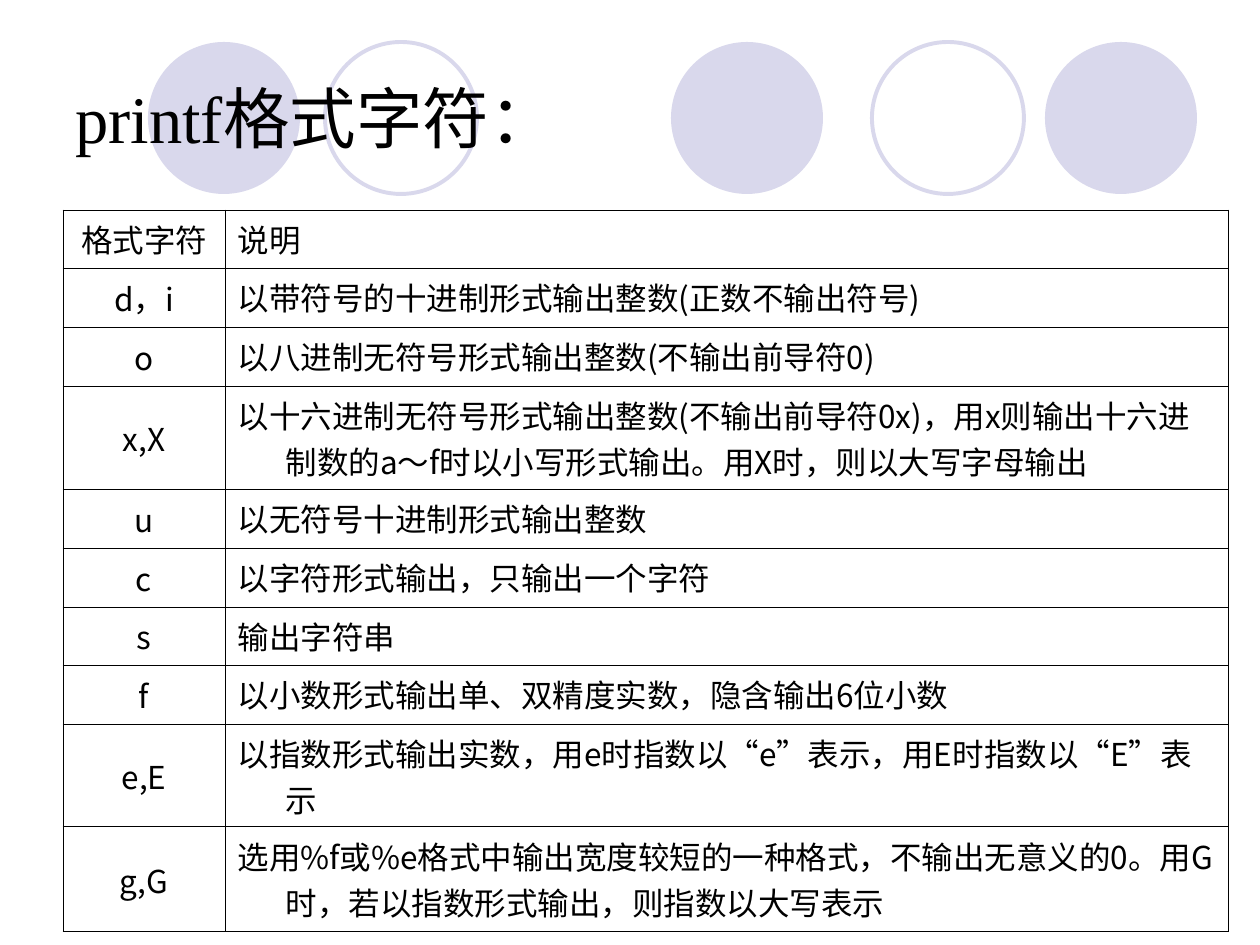
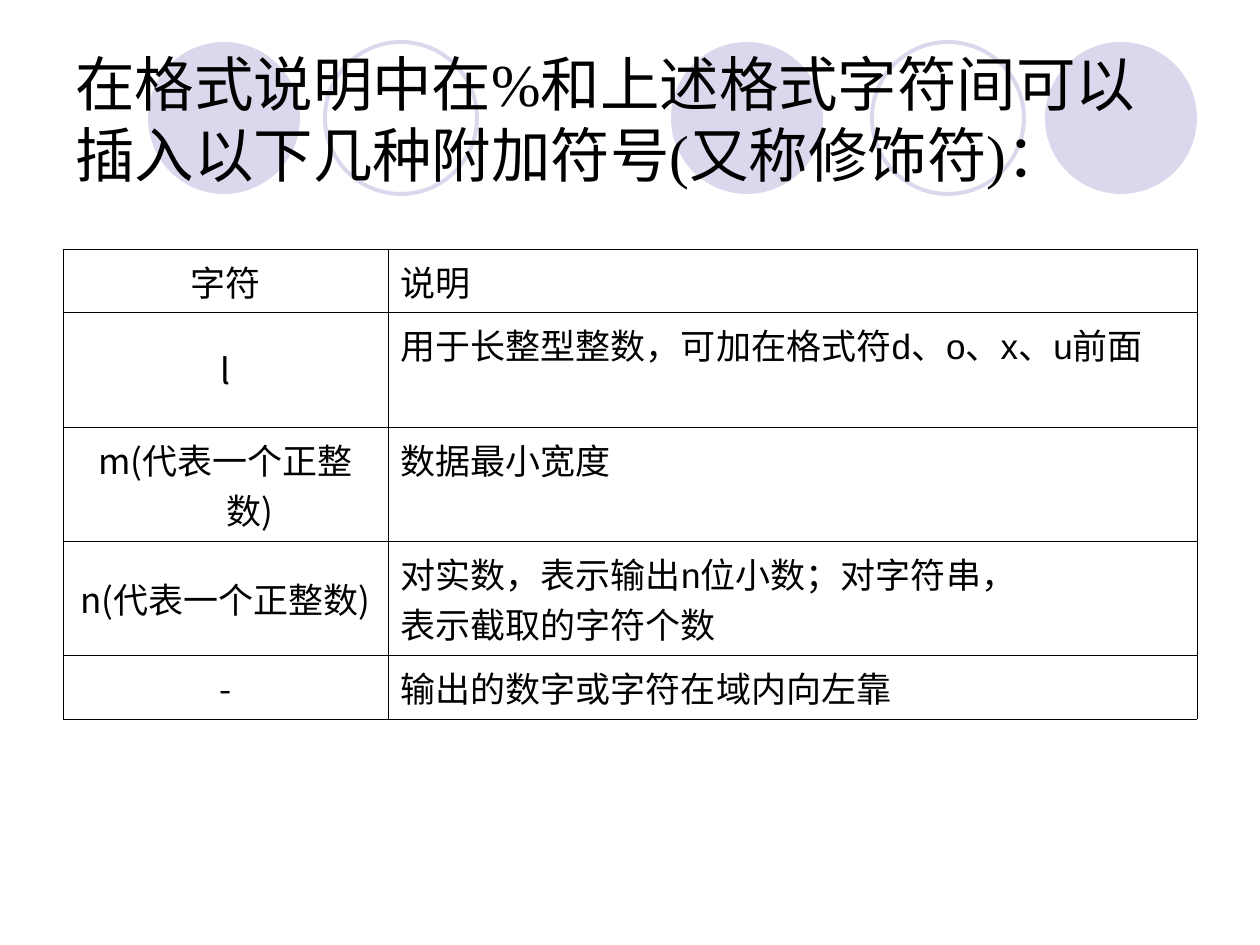
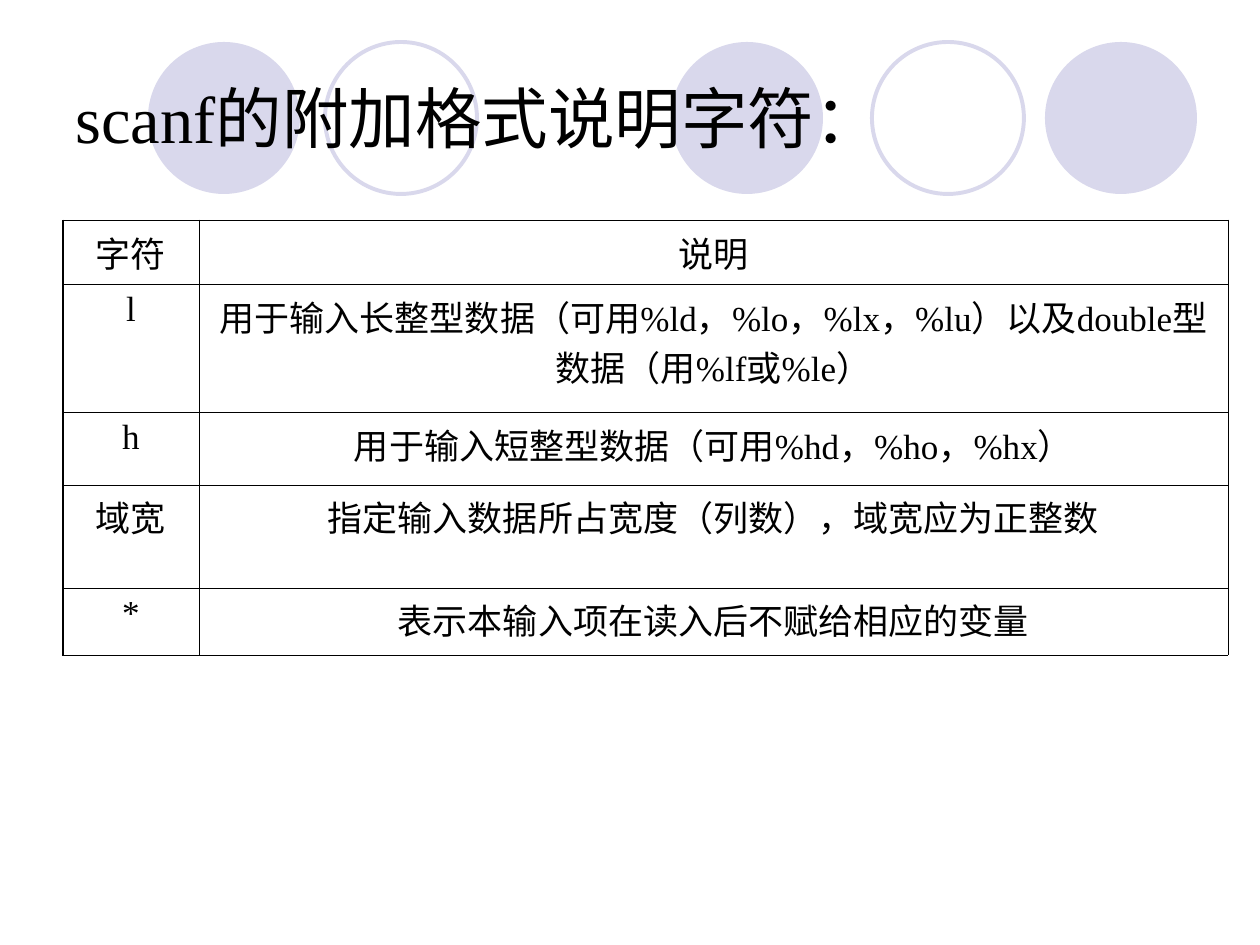
from lxml import etree
from pptx import Presentation
from pptx.dml.color import RGBColor
from pptx.enum.shapes import MSO_SHAPE
from pptx.enum.text import MSO_ANCHOR, PP_ALIGN
from pptx.oxml.ns import qn
from pptx.util import Pt

ELLIPSE = MSO_SHAPE.OVAL
LEFT, CENTER = PP_ALIGN.LEFT, PP_ALIGN.CENTER
TOP, MIDDLE = MSO_ANCHOR.TOP, MSO_ANCHOR.MIDDLE

BLACK = RGBColor(0x00, 0x00, 0x00)
LAVENDER = RGBColor(0xD9, 0xD8, 0xEC)
SERIF, SANS, CHINESE = "Times New Roman", "Arial", "Noto Sans CJK SC"

EMU_PER_PX = 914400 / 126
SLIDE_SIZE = (1260, 945)
TABLE_LEFT = 63
TITLE_LEFT, TITLE_TOP, TITLE_WIDTH = 63, 38, 1134
CIRCLE_TOP, CIRCLE_SIZE = 42, 152
CIRCLES = [(671, True), (1045, True), (148, True), (872, False), (325, False)]
HANGING_INDENT = 48
THIN, THICK = 0.45, 1.08

SYMBOL_COLUMN = {"font": CHINESE, "align": CENTER, "anchor": MIDDLE, "indent": HANGING_INDENT}
MEANING_COLUMN = {"font": CHINESE, "align": LEFT, "anchor": TOP, "indent": HANGING_INDENT}
CENTERED_COLUMN = {"font": SERIF, "align": CENTER, "anchor": TOP, "indent": 0}

SLIDES = [
    {
        "title": "printf格式字符：",
        "title_size": 38,
        "title_height": 158,
        "top": 210,
        "widths": [162, 1003],
        "heights": [58, 59, 59, 103, 59, 59, 58, 59, 103, 105],
        "size": 18,
        "left_border": THIN,
        "columns": [SYMBOL_COLUMN, MEANING_COLUMN],
        "rows": [
            ("格式字符", "说明"),
            ("d，i", "以带符号的十进制形式输出整数(正数不输出符号)"),
            ("o", "以八进制无符号形式输出整数(不输出前导符0)"),
            ("x,X", "以十六进制无符号形式输出整数(不输出前导符0x)，用x则输出十六进制数的a～f时以小写形式输出。用X时，则以大写字母输出"),
            ("u", "以无符号十进制形式输出整数"),
            ("c", "以字符形式输出，只输出一个字符"),
            ("s", "输出字符串"),
            ("f", "以小数形式输出单、双精度实数，隐含输出6位小数"),
            ("e,E", "以指数形式输出实数，用e时指数以“e”表示，用E时指数以“E”表示"),
            ("g,G", "选用%f或%e格式中输出宽度较短的一种格式，不输出无意义的0。用G时，若以指数形式输出，则指数以大写表示"),
        ],
    },
    {
        "title": "在格式说明中在%和上述格式字符间可以插入以下几种附加符号(又称修饰符)：",
        "title_size": 34,
        "title_height": 161,
        "top": 249,
        "widths": [325, 809],
        "heights": [63, 115, 114, 114, 64],
        "size": 20,
        "left_border": THIN,
        "columns": [SYMBOL_COLUMN, {**MEANING_COLUMN, "font": SANS}],
        "rows": [
            ("字符", "说明"),
            ("l", "用于长整型整数，可加在格式符d、o、x、u前面"),
            ("m(代表一个正整数)", "数据最小宽度"),
            ("n(代表一个正整数)", "对实数，表示输出n位小数；对字符串，\n表示截取的字符个数"),
            ("-", "输出的数字或字符在域内向左靠"),
        ],
    },
    {
        "title": "scanf的附加格式说明字符：",
        "title_size": 38,
        "title_height": 158,
        "top": 220,
        "widths": [136, 1029],
        "heights": [64, 128, 73, 103, 67],
        "size": 20,
        "left_border": THICK,
        "columns": [CENTERED_COLUMN, CENTERED_COLUMN],
        "rows": [
            ("字符", "说明"),
            ("l", "用于输入长整型数据（可用%ld，%lo，%lx，%lu）以及double型数据（用%lf或%le）"),
            ("h", "用于输入短整型数据（可用%hd，%ho，%hx）"),
            ("域宽", "指定输入数据所占宽度（列数），域宽应为正整数"),
            ("*", "表示本输入项在读入后不赋给相应的变量"),
        ],
    },
]


def px(length):
    return round(length * EMU_PER_PX)


def box(*lengths):
    return [px(length) for length in lengths]


def write(text_frame, text, font, size, align=LEFT, indent=0):
    text_frame.text = text
    for paragraph in text_frame.paragraphs:
        paragraph.alignment = align
        if indent:
            properties = paragraph._p.get_or_add_pPr()
            properties.set("marL", str(px(indent)))
            properties.set("indent", str(-px(indent)))
        for run in paragraph.runs:
            for name, value in {"name": font, "size": Pt(size)}.items():
                setattr(run.font, name, value)
            run.font.color.rgb = BLACK
            east_asian = etree.SubElement(run._r.get_or_add_rPr(), qn("a:ea"))
            east_asian.set("typeface", CHINESE)


def add_circles(slide):
    for left, filled in CIRCLES:
        circle = slide.shapes.add_shape(ELLIPSE, *box(left, CIRCLE_TOP, CIRCLE_SIZE, CIRCLE_SIZE))
        circle.shadow.inherit = False
        if filled:
            circle.fill.solid()
            circle.fill.fore_color.rgb = LAVENDER
            circle.line.fill.background()
        else:
            circle.fill.background()
            circle.line.color.rgb = LAVENDER
            circle.line.width = Pt(2.25)


def add_title(slide, text, size, height):
    title = slide.shapes.add_textbox(*box(TITLE_LEFT, TITLE_TOP, TITLE_WIDTH, height))
    title.text_frame.word_wrap = True
    title.text_frame.vertical_anchor = MIDDLE
    write(title.text_frame, text, SERIF, size)


def set_borders(cell, left_border):
    properties = cell._tc.get_or_add_tcPr()
    for side, width in {"L": left_border, "R": THIN, "T": THIN, "B": THIN}.items():
        line = etree.SubElement(properties, qn(f"a:ln{side}"), w=str(Pt(width)))
        fill = etree.SubElement(line, qn("a:solidFill"))
        etree.SubElement(fill, qn("a:srgbClr"), val=str(BLACK))


def add_grid(slide, content):
    rows, widths, heights = content["rows"], content["widths"], content["heights"]
    frame = slide.shapes.add_table(
        len(rows), len(widths), *box(TABLE_LEFT, content["top"], sum(widths), sum(heights))
    )
    table = frame.table
    table.first_row = table.horz_banding = False
    for column, width in zip(table.columns, widths):
        column.width = px(width)
    for row, height in zip(table.rows, heights):
        row.height = px(height)
    for row, texts in zip(table.rows, rows):
        left_border = content["left_border"]
        for cell, text, style in zip(row.cells, texts, content["columns"]):
            write(cell.text_frame, text, style["font"], content["size"], style["align"], style["indent"])
            cell.vertical_anchor = style["anchor"]
            set_borders(cell, left_border)
            cell.fill.background()
            left_border = THIN


def main():
    presentation = Presentation()
    presentation.slide_width, presentation.slide_height = box(*SLIDE_SIZE)
    for content in SLIDES:
        slide = presentation.slides.add_slide(presentation.slide_layouts[6])
        add_circles(slide)
        add_title(slide, content["title"], content["title_size"], content["title_height"])
        add_grid(slide, content)
    presentation.save("out.pptx")


if __name__ == "__main__":
    main()
